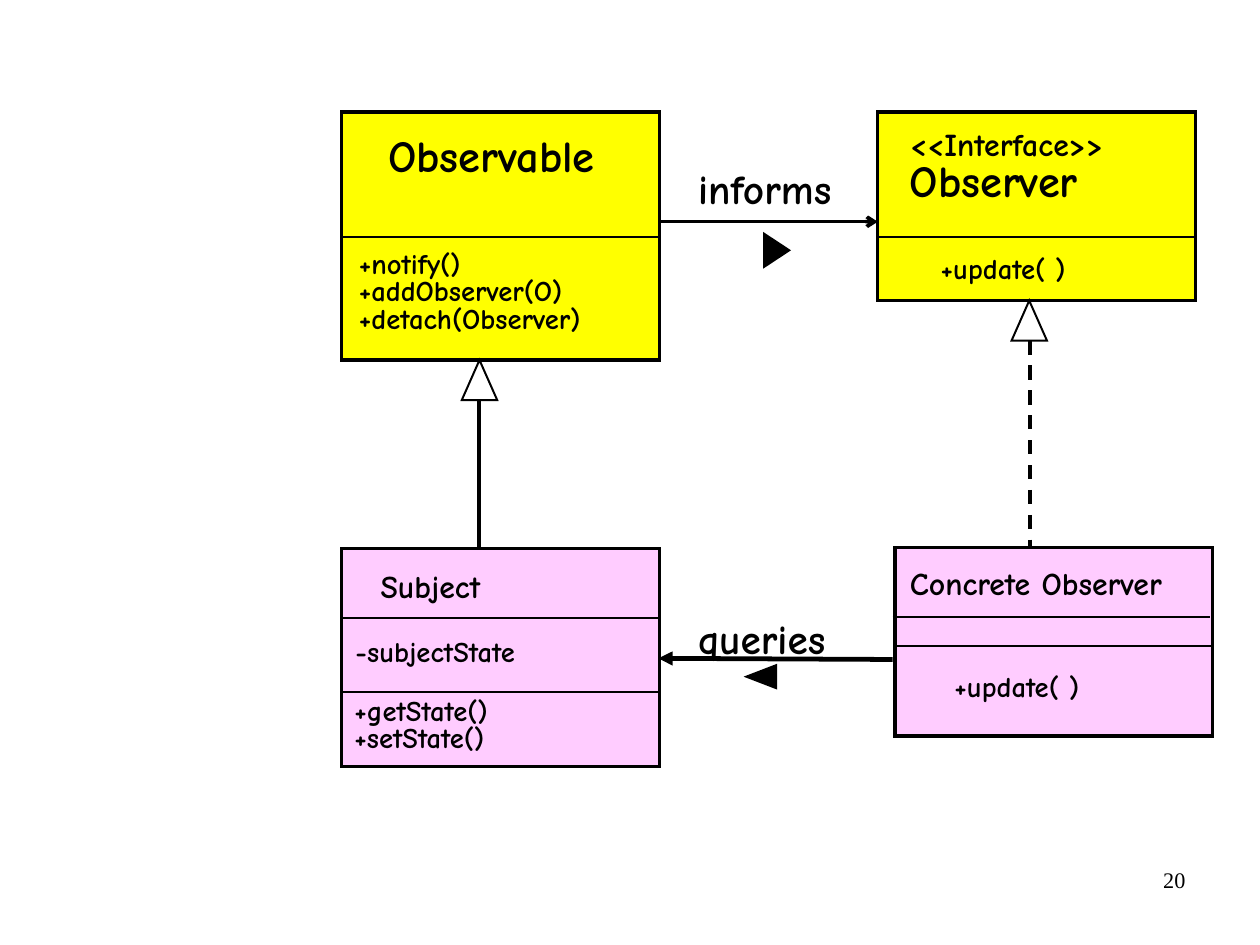
from dataclasses import dataclass
from typing import Optional

from lxml.etree import SubElement
from pptx import Presentation
from pptx.dml.color import RGBColor
from pptx.enum.dml import MSO_LINE
from pptx.enum.shapes import MSO_CONNECTOR, MSO_SHAPE
from pptx.enum.text import PP_ALIGN
from pptx.oxml.ns import qn
from pptx.util import Cm, Inches, Pt

COLORS = {"black": "000000", "abstract": "FFFF00", "concrete": "FFCCFF"}
FONT = "Comic Neue"
BOX_W = 2.78


@dataclass
class Label:
    left: float
    top: float
    width: float
    height: float
    lines: list[tuple[str, int]]
    align: PP_ALIGN = PP_ALIGN.LEFT
    spacing: float = 0.8
    inset: tuple[float, float] = (0.11, 0.06)
    font: str = FONT
    bold: bool = True


@dataclass
class ClassBox:
    left: float
    top: float
    height: float
    color: str
    dividers: list[tuple[float, float]]  # left, y
    labels: list[Label]


@dataclass
class Link:
    start: tuple[float, float]
    end: tuple[float, float]
    width: float = 2.25
    arrow: Optional[str] = None
    dashed: bool = False


@dataclass
class Triangle:
    left: float
    top: float
    width: float
    height: float
    rotation: int = 0
    fill: Optional[str] = None


CLASSES = [
    ClassBox(2.99, 0.98, 2.17, "abstract", [(2.99, 2.07)], [
        Label(3, 1.15, 2.6, 0.48, [("Observable", 28)], PP_ALIGN.CENTER),
        Label(3.03, 2.15, 2.78, 0.83,
              [("+notify()", 18), ("+addObserver(O)", 18), ("+detach(Observer)", 18)]),
    ]),
    ClassBox(2.99, 4.8, 1.91, "concrete", [(2.99, 5.41), (3, 6.05)], [
        Label(3.22, 4.96, 2.63, 0.38, [("Subject", 20)]),
        Label(3, 5.54, 2.08, 0.35, [("-subjectState", 18)]),
        Label(2.99, 6.06, 1.91, 0.59, [("+getState()", 18), ("+setState()", 18)]),
    ]),
    ClassBox(7.68, 0.98, 1.65, "abstract", [(7.68, 2.07)], [
        Label(8.12, 2.19, 1.91, 0.35, [("+update( )", 18)]),
        Label(7.85, 1.1, 2.42, 0.75, [("<<Interface>>", 20), ("Observer", 28)]),
    ]),
    ClassBox(7.83, 4.79, 1.65, "concrete", [(7.81, 5.4), (7.83, 5.65)], [
        Label(7.85, 4.94, 2.76, 0.38, [("Concrete Observer", 20)]),
        Label(8.24, 5.85, 1.91, 0.35, [("+update( )", 18)]),
    ]),
]

LINKS = [
    Link((4.19, 3.51), (4.19, 4.8)),
    Link((9.01, 2.98), (9.01, 4.79), dashed=True),
    Link((5.76, 1.94), (7.68, 1.94), arrow="arrow"),
    Link((7.81, 5.77), (5.76, 5.76), width=3, arrow="triangle"),
]

TRIANGLES = [
    Triangle(4.04, 3.15, 0.31, 0.35),
    Triangle(8.85, 2.63, 0.31, 0.35),
    Triangle(6.56, 5.79, 0.2, 0.26, rotation=270, fill="black"),
    Triangle(6.65, 2.08, 0.29, 0.22, rotation=90, fill="black"),
]

LABELS = [
    Label(6.01, 5.32, 1.67, 0.54, [("queries", 26)], spacing=1, inset=(0.1, 0.05)),
    Label(6.01, 1.38, 1.67, 0.54, [("informs", 26)], spacing=1, inset=(0.1, 0.05)),
    Label(7.9, 7.53, 2.57, 0.57, [("20", 14)], PP_ALIGN.RIGHT, 1, (0.1, 0.05),
          "Times New Roman", False),
]


def rgb(name: str) -> RGBColor:
    return RGBColor.from_string(COLORS[name])


def add_label(slide, label: Label) -> None:
    sp = slide.shapes.add_textbox(Inches(label.left), Inches(label.top),
                                  Inches(label.width), Inches(label.height))
    tf = sp.text_frame
    tf.word_wrap = True
    tf.margin_left = tf.margin_right = Inches(label.inset[0])
    tf.margin_top = tf.margin_bottom = Inches(label.inset[1])
    for i, (text, size) in enumerate(label.lines):
        p = tf.add_paragraph() if i else tf.paragraphs[0]
        p.alignment = label.align
        p.line_spacing = label.spacing
        r = p.add_run()
        r.text = text
        r.font.name = label.font
        r.font.size = Pt(size)
        r.font.bold = label.bold
        r.font.color.rgb = rgb("black")


def add_outlined(slide, kind: MSO_SHAPE, left: float, top: float, width: float,
                 height: float, fill: Optional[str], line_width: float):
    """Add a black-outlined shape with mitred corners."""
    sp = slide.shapes.add_shape(kind, Inches(left), Inches(top),
                                Inches(width), Inches(height))
    sp.shadow.inherit = False
    if fill:
        sp.fill.solid()
        sp.fill.fore_color.rgb = rgb(fill)
    else:
        sp.fill.background()
    sp.line.color.rgb = rgb("black")
    sp.line.width = Pt(line_width)
    SubElement(sp.line._get_or_add_ln(), qn("a:miter"), lim="800000")
    return sp


def add_link(slide, link: Link) -> None:
    cx = slide.shapes.add_connector(MSO_CONNECTOR.STRAIGHT,
                                    *(Inches(v) for v in link.start + link.end))
    cx.line.color.rgb = rgb("black")
    cx.line.width = Pt(link.width)
    if link.dashed:
        cx.line.dash_style = MSO_LINE.DASH
    if link.arrow:
        SubElement(cx.line._get_or_add_ln(), qn("a:tailEnd"), type=link.arrow)
    SubElement(cx._element.spPr, qn("a:effectLst"))


def add_class(slide, box: ClassBox) -> None:
    add_outlined(slide, MSO_SHAPE.RECTANGLE, box.left, box.top, BOX_W, box.height,
                 box.color, 2)
    for left, y in box.dividers:
        add_link(slide, Link((left, y), (left + BOX_W, y), width=1.25))
    for label in box.labels:
        add_label(slide, label)


def main() -> None:
    prs = Presentation()
    prs.slide_width, prs.slide_height = Cm(28), Cm(21)
    slide = prs.slides.add_slide(prs.slide_layouts[6])
    for box in CLASSES:
        add_class(slide, box)
    for link in LINKS:
        add_link(slide, link)
    for t in TRIANGLES:
        sp = add_outlined(slide, MSO_SHAPE.ISOSCELES_TRIANGLE, t.left, t.top,
                          t.width, t.height, t.fill, 1.25)
        sp.rotation = t.rotation
    for label in LABELS:
        add_label(slide, label)
    prs.save("out.pptx")


if __name__ == "__main__":
    main()
